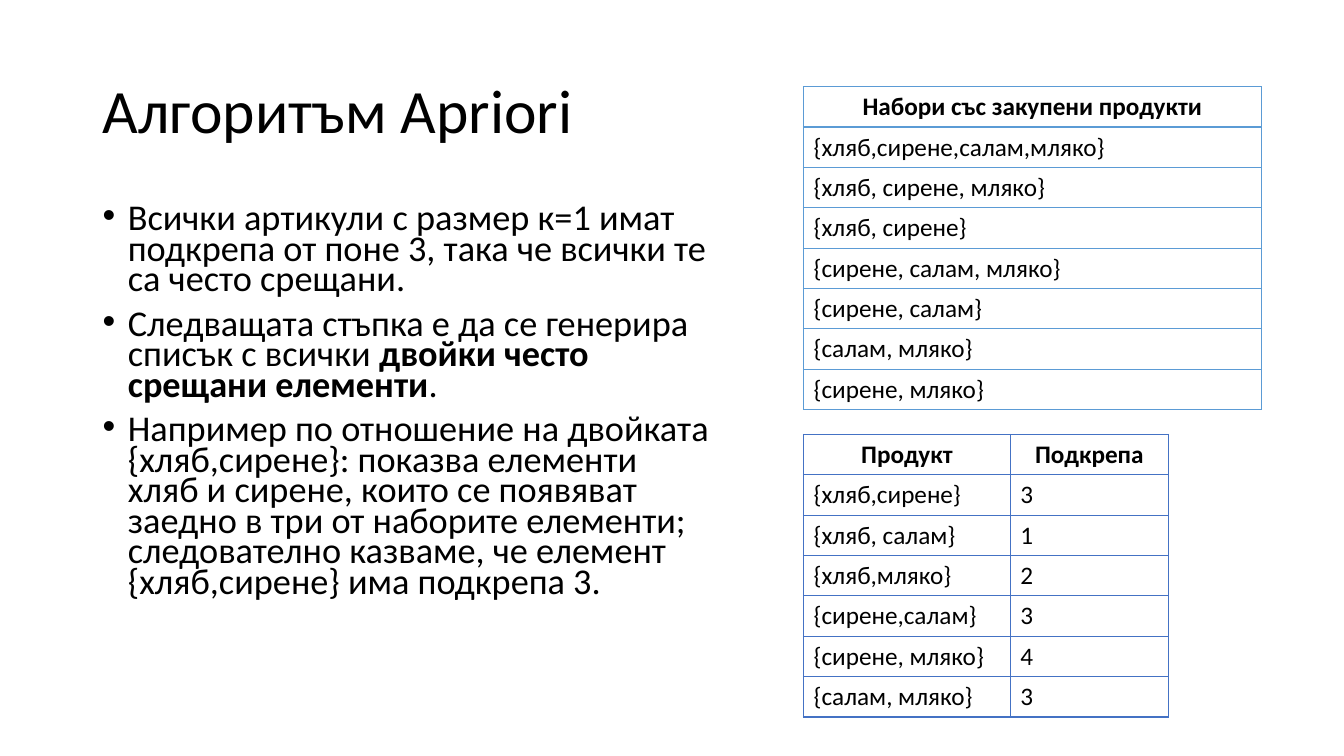
"""Build the slide on the Apriori algorithm with its two item-set tables."""
import pptx
import pptx.dml.color
import pptx.enum.text
import pptx.oxml
import pptx.oxml.ns
import pptx.util
from pptx.util import Inches

COLOURS = {"text": "000000", "support": "4472C4", "baskets": "5B9BD5"}
FONT = "Calibri"
ROW_HEIGHT = 0.4
MIDDLE = pptx.enum.text.MSO_ANCHOR.MIDDLE
TOP = pptx.enum.text.MSO_ANCHOR.TOP
CENTRE = pptx.enum.text.PP_ALIGN.CENTER
LEFT = pptx.enum.text.PP_ALIGN.LEFT

POINTS = [
    [("Всички артикули с размер к=1 имат подкрепа от поне 3, "
      "така че всички те са често срещани.", False)],
    [("Следващата стъпка е да се генерира списък с всички ", False),
     ("двойки често срещани елементи", True),
     (".", False)],
    [("Например по отношение на двойката {хляб,сирене}: показва елементи "
      "хляб и сирене, които се появяват заедно в три от наборите елементи; "
      "следователно казваме, че елемент {хляб,сирене} има подкрепа 3.", False)],
]
SUPPORT = [
    ("Продукт", "Подкрепа"),
    ("{хляб,сирене}", "3"),
    ("{хляб, салам}", "1"),
    ("{хляб,мляко}", "2"),
    ("{сирене,салам}", "3"),
    ("{сирене, мляко}", "4"),
    ("{салам, мляко}", "3"),
]
BASKETS = [
    ("Набори със закупени продукти",),
    ("{хляб,сирене,салам,мляко}",),
    ("{хляб, сирене, мляко}",),
    ("{хляб, сирене}",),
    ("{сирене, салам, мляко}",),
    ("{сирене, салам}",),
    ("{салам, мляко}",),
    ("{сирене, мляко}",),
]


def add_span(para, text, size=18, bold=False, colour="text"):
    """Append formatted text to a paragraph."""
    span = para.add_run()
    span.text = text
    span.font.name = FONT
    span.font.size = pptx.util.Pt(size)
    span.font.bold = bold
    span.font.color.rgb = pptx.dml.color.RGBColor.from_string(COLOURS[colour])


def add_box(page, left, top, width, height, anchor=TOP):
    """Add a wrapping text box and return its text frame."""
    box = page.shapes.add_textbox(
        Inches(left), Inches(top), Inches(width), Inches(height))
    frame = box.text_frame
    frame.word_wrap = True
    frame.vertical_anchor = anchor
    return frame


def set_bullet(para, indent):
    """Give a paragraph a round bullet with a hanging indent."""
    props = para._p.get_or_add_pPr()
    props.set("marL", str(Inches(indent)))
    props.set("indent", str(-Inches(indent)))
    namespace = pptx.oxml.ns.nsdecls("a")
    for markup in (f'<a:buFont {namespace} typeface="Arial"/>',
                   f'<a:buChar {namespace} char="•"/>'):
        props.append(pptx.oxml.parse_xml(markup))


def add_title(page, text):
    """Add the slide heading."""
    para = add_box(page, 0.92, 0.4, 11.5, 1.45, MIDDLE).paragraphs[0]
    para.line_spacing = 0.9
    add_span(para, text, size=44)


def add_points(page, points):
    """Add the bulleted explanation."""
    frame = add_box(page, 0.92, 2, 6.23, 4.76)
    for index, spans in enumerate(points):
        para = frame.add_paragraph() if index else frame.paragraphs[0]
        para.line_spacing = 0.7
        para.space_before = pptx.util.Pt(10)
        set_bullet(para, 0.25)
        for text, bold in spans:
            add_span(para, text, size=25.9, bold=bold)


def set_borders(cell, colour):
    """Draw a one-point line on every side of a cell."""
    props = cell._tc.get_or_add_tcPr()
    for index, side in enumerate(("lnL", "lnR", "lnT", "lnB")):
        props.insert(index, pptx.oxml.parse_xml(
            f'<a:{side} {pptx.oxml.ns.nsdecls("a")} w="{pptx.util.Pt(1)}">'
            f'<a:solidFill><a:srgbClr val="{COLOURS[colour]}"/></a:solidFill>'
            f'</a:{side}>'))


def add_grid(page, rows, left, top, widths, colour):
    """Add an unfilled bordered table with a bold centred heading row."""
    table = page.shapes.add_table(
        len(rows), len(widths), Inches(left), Inches(top),
        Inches(sum(widths)), Inches(ROW_HEIGHT * len(rows))).table
    table.first_row = False
    table.horz_banding = False
    for column, width in zip(table.columns, widths):
        column.width = Inches(width)
    for row, texts in enumerate(rows):
        for column, text in enumerate(texts):
            cell = table.cell(row, column)
            cell.vertical_anchor = MIDDLE
            cell.fill.background()
            set_borders(cell, colour)
            para = cell.text_frame.paragraphs[0]
            para.alignment = LEFT if row else CENTRE
            add_span(para, text, bold=row == 0)


def main():
    """Assemble and save the deck."""
    deck = pptx.Presentation()
    deck.slide_width = Inches(13.33)
    deck.slide_height = Inches(7.5)
    page = deck.slides.add_slide(deck.slide_layouts[6])
    add_title(page, "Алгоритъм Apriori")
    add_points(page, POINTS)
    add_grid(page, SUPPORT, 7.97, 4.31, [2.05, 1.57], "support")
    add_grid(page, BASKETS, 7.97, 0.86, [4.54], "baskets")
    deck.save("out.pptx")


main()
